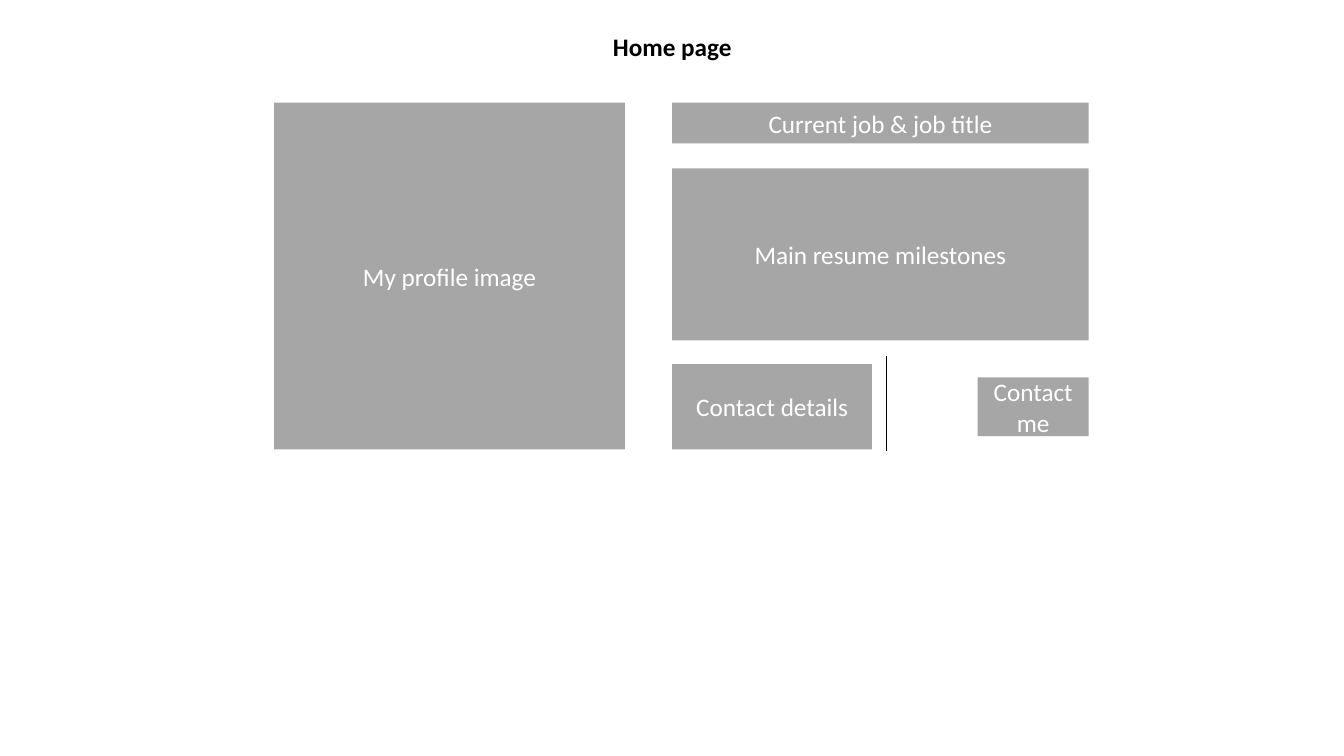
from pptx import Presentation
from pptx.dml.color import RGBColor
from pptx.enum.shapes import MSO_CONNECTOR, MSO_SHAPE
from pptx.enum.text import MSO_ANCHOR, MSO_AUTO_SIZE, PP_ALIGN
from pptx.oxml.ns import qn
from pptx.util import Pt

COLORS = {"block": "A6A6A6", "label": "FFFFFF", "title": "000000", "divider": "000000"}
LABEL_FORMAT = {"name": "Calibri", "size": Pt(18), "bold": False}
TITLE_FORMAT = {**LABEL_FORMAT, "bold": True}


def color(name):
    return RGBColor.from_string(COLORS[name])


def write_text(shape, text, font_format, color_name):
    shape.text_frame.word_wrap = True
    paragraph = shape.text_frame.paragraphs[0]
    paragraph.alignment = PP_ALIGN.CENTER
    run = paragraph.add_run()
    run.text = text
    for attribute, value in font_format.items():
        setattr(run.font, attribute, value)
    run.font.color.rgb = color(color_name)


def add_title(slide, left, top, width, height):
    title = slide.shapes.add_textbox(Pt(left), Pt(top), Pt(width), Pt(height))
    write_text(title, "Home page", TITLE_FORMAT, "title")
    title.text_frame.auto_size = MSO_AUTO_SIZE.SHAPE_TO_FIT_TEXT


def add_block(slide, text, left, top, width, height):
    block = slide.shapes.add_shape(
        MSO_SHAPE.RECTANGLE, Pt(left), Pt(top), Pt(width), Pt(height))
    block.shadow.inherit = False
    block.fill.solid()
    block.fill.fore_color.rgb = color("block")
    block.line.fill.background()
    block.text_frame.vertical_anchor = MSO_ANCHOR.MIDDLE
    write_text(block, text, LABEL_FORMAT, "label")


def add_divider(slide, x, top, bottom):
    divider = slide.shapes.add_connector(
        MSO_CONNECTOR.STRAIGHT, Pt(x), Pt(top), Pt(x), Pt(bottom))
    divider.line.color.rgb = color("divider")
    divider.line.width = Pt(0.5)
    properties = divider._element.spPr
    properties.append(properties.makeelement(qn("a:effectLst"), {}))


def add_resume(slide, left, top, width):
    add_block(slide, "Current job & job title", left, top, width, 29)
    add_block(slide, "Main resume milestones", left, top + 46.8, width, 123)


def add_contact(slide, left, top, width, height):
    details_width, button_width, button_height = 142.7, 79.2, 42
    add_block(slide, "Contact details", left, top, details_width, height)
    add_divider(slide, left + details_width + 10, top - 6, top + height + 0.7)
    add_block(slide, "Contact me", left + width - button_width,
              top + (height - button_height) / 2, button_width, button_height)


def build_home_page(slide, left, top, width, height):
    profile_width, column_width, contact_height = 250.6, 297.4, 61
    column_left = left + width - column_width
    # Heading
    add_title(slide, 342.7, 18.7, 275, 29)
    # Profile on the left
    add_block(slide, "My profile image", left, top, profile_width, height)
    # Resume and contact on the right
    add_resume(slide, column_left, top, column_width)
    add_contact(slide, column_left, top + height - contact_height,
                column_width, contact_height)


def main():
    presentation = Presentation()
    presentation.slide_width, presentation.slide_height = Pt(960), Pt(540)
    slide = presentation.slides.add_slide(presentation.slide_layouts[6])
    build_home_page(slide, 195.8, 73.4, 581.8, 247.7)
    presentation.save("out.pptx")


if __name__ == "__main__":
    main()
